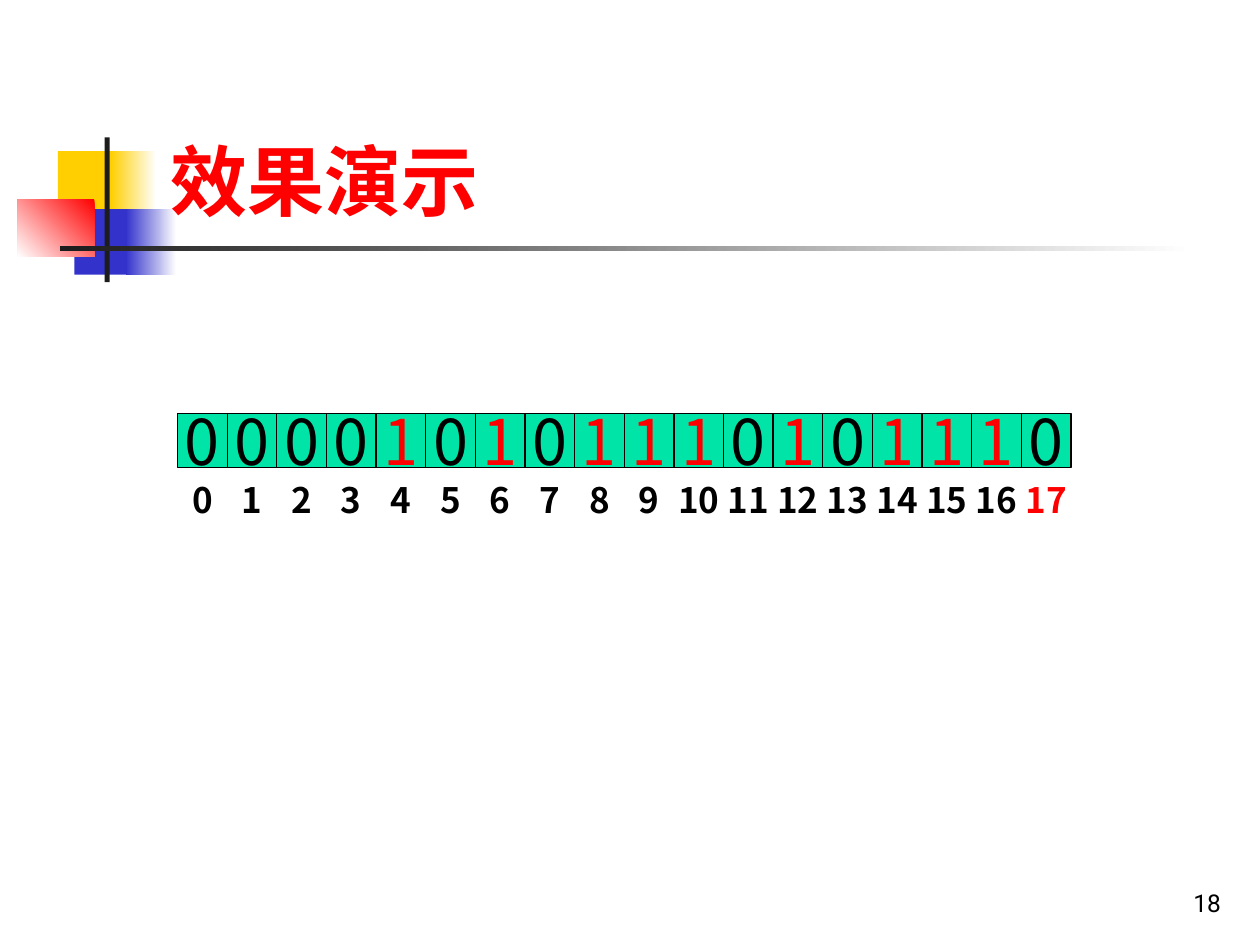
from pptx import Presentation
from pptx.dml.color import RGBColor as RGB
from pptx.enum.shapes import MSO_SHAPE as Shape
from pptx.enum.text import MSO_ANCHOR as Anchor, MSO_AUTO_SIZE as Fit, PP_ALIGN as Align
from pptx.oxml.ns import qn
from pptx.util import Inches, Pt

COLORS = {
    "red": "FF0000", "black": "000000", "white": "FFFFFF", "dark": "1C1C1C",
    "gold": "FFCF01", "blue": "3333CC", "green": "00E4A8",
}
LATIN, CJK = "Roboto", "Noto Sans CJK SC"
BITS = "000010101110101110"
LEFT, STEP, HIGH = 1.41, 7.09 / len(BITS), 0.43
# Stacking order of the cells: the same pattern in each run of six
ORDER = [base + i for base in range(0, len(BITS), 6) for i in (0, 1, 5, 4, 3, 2)]


def color(name):
    return RGB.from_string(COLORS[name])


def write(shape, text, size, font=CJK, tint="black", bold=False,
          align=Align.CENTER, anchor=Anchor.MIDDLE, wrap=False, inset=0.2):
    frame = shape.text_frame
    frame.auto_size = Fit.NONE
    frame.word_wrap = wrap
    frame.vertical_anchor = anchor
    frame.margin_left = frame.margin_right = Inches(inset)
    para = frame.paragraphs[0]
    para.alignment = align
    run = para.add_run()
    run.text = text
    run.font.size = Pt(size)
    run.font.bold = bold
    run.font.name = font
    run.font.color.rgb = color(tint)
    east = run.font._element.makeelement(qn("a:ea"), {"typeface": CJK})
    run.font._element.find(qn("a:latin")).addnext(east)


def block(shapes, box, *tints, angle=180, line=None):
    """Add a rectangle with a plain fill, or a gradient if two tints are given."""
    rect = shapes.add_shape(Shape.RECTANGLE, *map(Inches, box))
    rect.shadow.inherit = False
    if len(tints) == 1:
        rect.fill.solid()
        rect.fill.fore_color.rgb = color(tints[0])
    else:
        rect.fill.gradient()
        rect.fill.gradient_angle = angle
        for stop, tint in zip(rect.fill.gradient_stops, tints):
            stop.color.rgb = color(tint)
    if line:
        rect.line.color.rgb = color(line)
        rect.line.width = Pt(0.75)
    else:
        rect.line.fill.background()
    return rect


def add_decor(shapes):
    block(shapes, (0.46, 1.2, 0.48, 0.52), "gold")
    block(shapes, (0.88, 1.2, 0.36, 0.52), "white", "gold")
    block(shapes, (0.59, 1.66, 0.46, 0.52), "blue")
    block(shapes, (1, 1.66, 0.4, 0.52), "white", "blue")
    block(shapes, (0.14, 1.58, 0.61, 0.46), "red", "white", angle=225)
    block(shapes, (0.83, 1.09, 0.04, 1.15), "dark")
    block(shapes, (0.48, 1.95, 9, 0.04), "white", "dark")


def add_title(slide, text):
    title = slide.shapes.title
    title.left, title.top, title.width, title.height = map(
        Inches, (1.25, 0.24, 8.52, 1.6))
    write(title, text, 44, font=LATIN, tint="red", bold=True,
          align=Align.LEFT, anchor=Anchor.BOTTOM, wrap=True, inset=0.1)
    # Bring the title in front of the decoration
    slide.shapes._spTree.append(title._element)


def add_bits(shapes):
    cells = shapes.add_group_shape().shapes
    for i in ORDER:
        cell = block(cells, (LEFT + i * STEP, 3.28, STEP, HIGH), "green", line="black")
        write(cell, BITS[i], 36, tint="red" if BITS[i] == "1" else "black")


def add_index(shapes):
    labels = shapes.add_group_shape().shapes
    last = len(BITS) - 1
    for i in ORDER:
        box = map(Inches, (LEFT + i * STEP, 3.75, STEP, HIGH))
        write(labels.add_textbox(*box), str(i), 20, bold=True,
              tint="red" if i == last else "black")


def add_number(shapes, text):
    box = shapes.add_textbox(*map(Inches, (7.71, 6.83, 2.08, 0.5)))
    write(box, text, 14, font=LATIN, align=Align.RIGHT,
          anchor=Anchor.BOTTOM, wrap=True, inset=0.1)


def main():
    deck = Presentation()
    deck.slide_width, deck.slide_height = Inches(10), Inches(7.5)
    slide = deck.slides.add_slide(deck.slide_layouts[5])
    add_decor(slide.shapes)
    add_title(slide, "效果演示")
    add_bits(slide.shapes)
    add_index(slide.shapes)
    add_number(slide.shapes, "18")
    deck.save("out.pptx")


if __name__ == "__main__":
    main()
